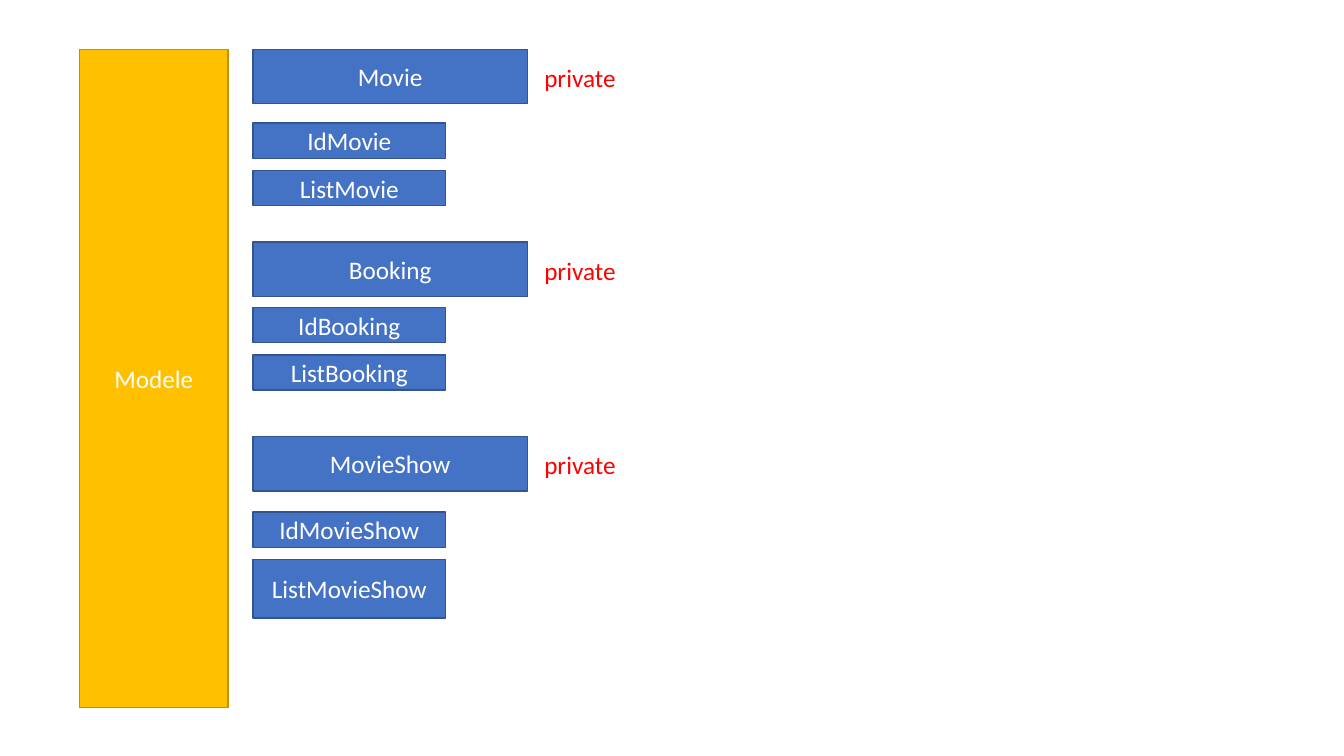
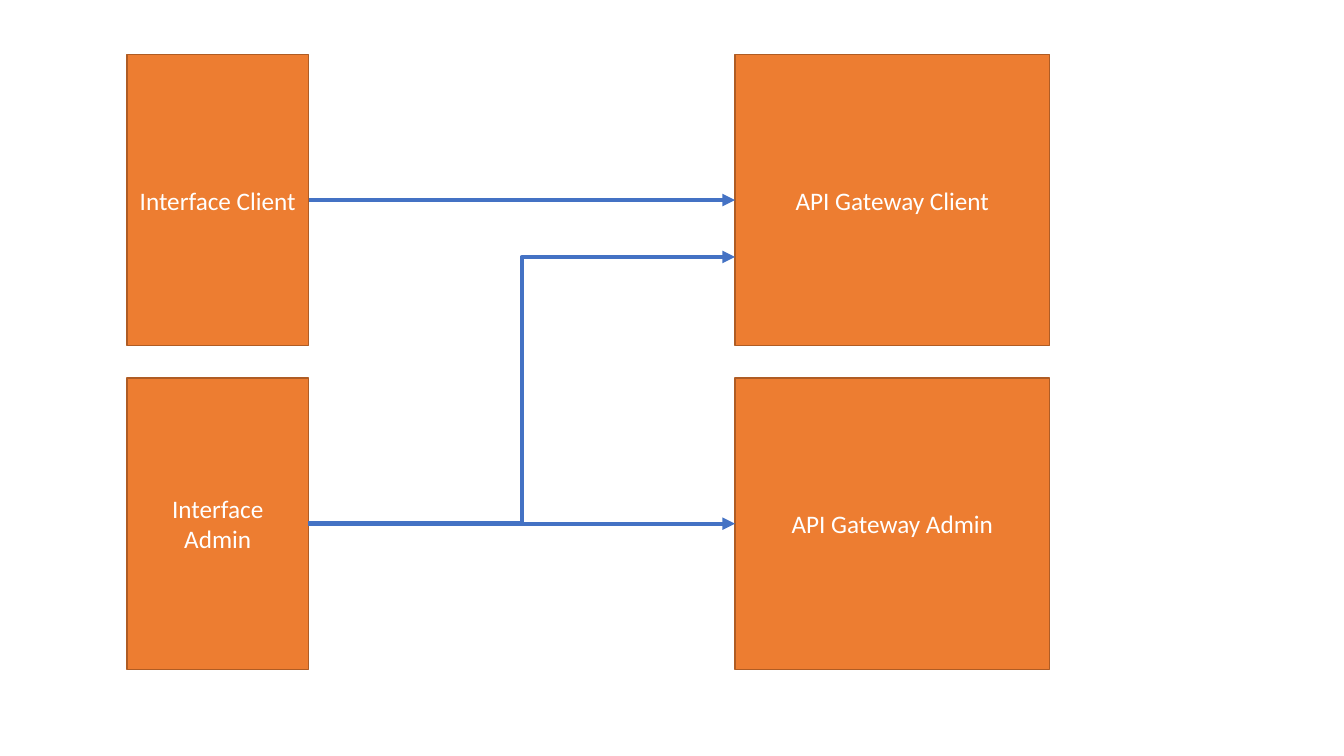
import pptx
import pptx.util
import pptx.dml.color
import pptx.enum.shapes
import pptx.enum.text
import pptx.oxml
import pptx.oxml.ns
from dataclasses import dataclass
from lxml import etree

Inches = pptx.util.Inches
Pt = pptx.util.Pt
RGB = pptx.dml.color.RGBColor.from_string
CONNECTOR = pptx.enum.shapes.MSO_CONNECTOR


@dataclass(frozen=True)
class Theme:
    font: str = "Calibri"
    size: int = 18
    light_text: str = "FFFFFF"
    access_text: str = "FF0000"
    model: tuple = ("FFC000", "BF9000")
    entity: tuple = ("4472C4", "325491")
    service: tuple = ("ED7D31", "AF5C24")
    arrow: str = "4472C4"
    outline_width: int = 1
    arrow_width: int = 3


THEME = Theme()

MODEL = ("Modele", (0.79, 0.49, 1.47, 6.53))
ACCESS = "private"
ENTITIES = [
    {"name": "Movie", "top": 0.49, "fields_top": 1.22,
     "fields": [("IdMovie", 0.35), ("ListMovie", 0.35)]},
    {"name": "Booking", "top": 2.4, "fields_top": 3.05,
     "fields": [("IdBooking", 0.35), ("ListBooking", 0.35)]},
    {"name": "MovieShow", "top": 4.33, "fields_top": 5.08,
     "fields": [("IdMovieShow", 0.35), ("ListMovieShow", 0.58)]},
]
ENTITY_LEFT, ENTITY_WIDTH, ENTITY_HEIGHT = 2.51, 2.72, 0.54
FIELD_WIDTH, FIELD_GAP = 1.91, 0.12
ACCESS_LEFT, ACCESS_OFFSET, ACCESS_WIDTH, ACCESS_HEIGHT = 5.3, 0.08, 3.07, 0.4

ROUTES = [
    ("Interface Client", "API Gateway Client"),
    ("Interface Admin", "API Gateway Admin"),
]
ROUTES_TOP, SERVICE_HEIGHT, SERVICE_GAP = 0.54, 2.89, 0.32
INTERFACE_LEFT, INTERFACE_WIDTH = 1.26, 1.8
GATEWAY_LEFT, GATEWAY_WIDTH = 7.29, 3.12
ADMIN_TO_CLIENT_Y = 2.55
LEFT_SITE, RIGHT_SITE = 1, 3


def write(frame, text, color):
    frame.word_wrap = True
    frame.text = text
    font = frame.paragraphs[0].runs[0].font
    font.name, font.size = THEME.font, Pt(THEME.size)
    font.color.rgb = RGB(color)


def add_box(slide, text, place, colors):
    box = slide.shapes.add_shape(
        pptx.enum.shapes.MSO_SHAPE.RECTANGLE, *map(Inches, place))
    fill, outline = colors
    box.shadow.inherit = False
    box.fill.solid()
    box.fill.fore_color.rgb = RGB(fill)
    box.line.color.rgb = RGB(outline)
    box.line.width = Pt(THEME.outline_width)
    write(box.text_frame, text, THEME.light_text)
    box.text_frame.vertical_anchor = pptx.enum.text.MSO_ANCHOR.MIDDLE
    box.text_frame.paragraphs[0].alignment = pptx.enum.text.PP_ALIGN.CENTER
    return box


def add_access(slide, top):
    place = (ACCESS_LEFT, top, ACCESS_WIDTH, ACCESS_HEIGHT)
    label = slide.shapes.add_textbox(*map(Inches, place))
    write(label.text_frame, ACCESS, THEME.access_text)
    label.text_frame.auto_size = pptx.enum.text.MSO_AUTO_SIZE.SHAPE_TO_FIT_TEXT


def add_arrow(slide, kind, start_y, end_y):
    ends = (INTERFACE_LEFT + INTERFACE_WIDTH, start_y, GATEWAY_LEFT, end_y)
    arrow = slide.shapes.add_connector(kind, *map(Inches, ends))
    arrow.line.color.rgb = RGB(THEME.arrow)
    arrow.line.width = Pt(THEME.arrow_width)
    qn = pptx.oxml.ns.qn
    properties = arrow.element.spPr
    head = etree.SubElement(properties.find(qn("a:ln")), qn("a:tailEnd"))
    head.set("type", "triangle")
    etree.SubElement(properties, qn("a:effectLst"))
    return arrow


def build_model(slide):
    add_box(slide, *MODEL, THEME.model)
    for entity in ENTITIES:
        top = entity["top"]
        add_box(slide, entity["name"],
                (ENTITY_LEFT, top, ENTITY_WIDTH, ENTITY_HEIGHT), THEME.entity)
        add_access(slide, top + ACCESS_OFFSET)
        field_top = entity["fields_top"]
        for field, height in entity["fields"]:
            add_box(slide, field,
                    (ENTITY_LEFT, field_top, FIELD_WIDTH, height), THEME.entity)
            field_top += height + FIELD_GAP


def build_routes(slide):
    for row, (interface, gateway) in enumerate(ROUTES):
        top = ROUTES_TOP + row * (SERVICE_HEIGHT + SERVICE_GAP)
        middle = top + SERVICE_HEIGHT / 2
        source = add_box(slide, interface,
                         (INTERFACE_LEFT, top, INTERFACE_WIDTH, SERVICE_HEIGHT),
                         THEME.service)
        target = add_box(slide, gateway,
                         (GATEWAY_LEFT, top, GATEWAY_WIDTH, SERVICE_HEIGHT),
                         THEME.service)
        route = add_arrow(slide, CONNECTOR.STRAIGHT, middle, middle)
        route.begin_connect(source, RIGHT_SITE)
        route.end_connect(target, LEFT_SITE)
    add_arrow(slide, CONNECTOR.ELBOW, middle, ADMIN_TO_CLIENT_Y)


def main():
    deck = pptx.Presentation()
    deck.slide_width, deck.slide_height = Inches(13.33), Inches(7.5)
    blank = deck.slide_layouts.get_by_name("Blank")
    for build in (build_model, build_routes):
        build(deck.slides.add_slide(blank))
    deck.save("out.pptx")


if __name__ == "__main__":
    main()
